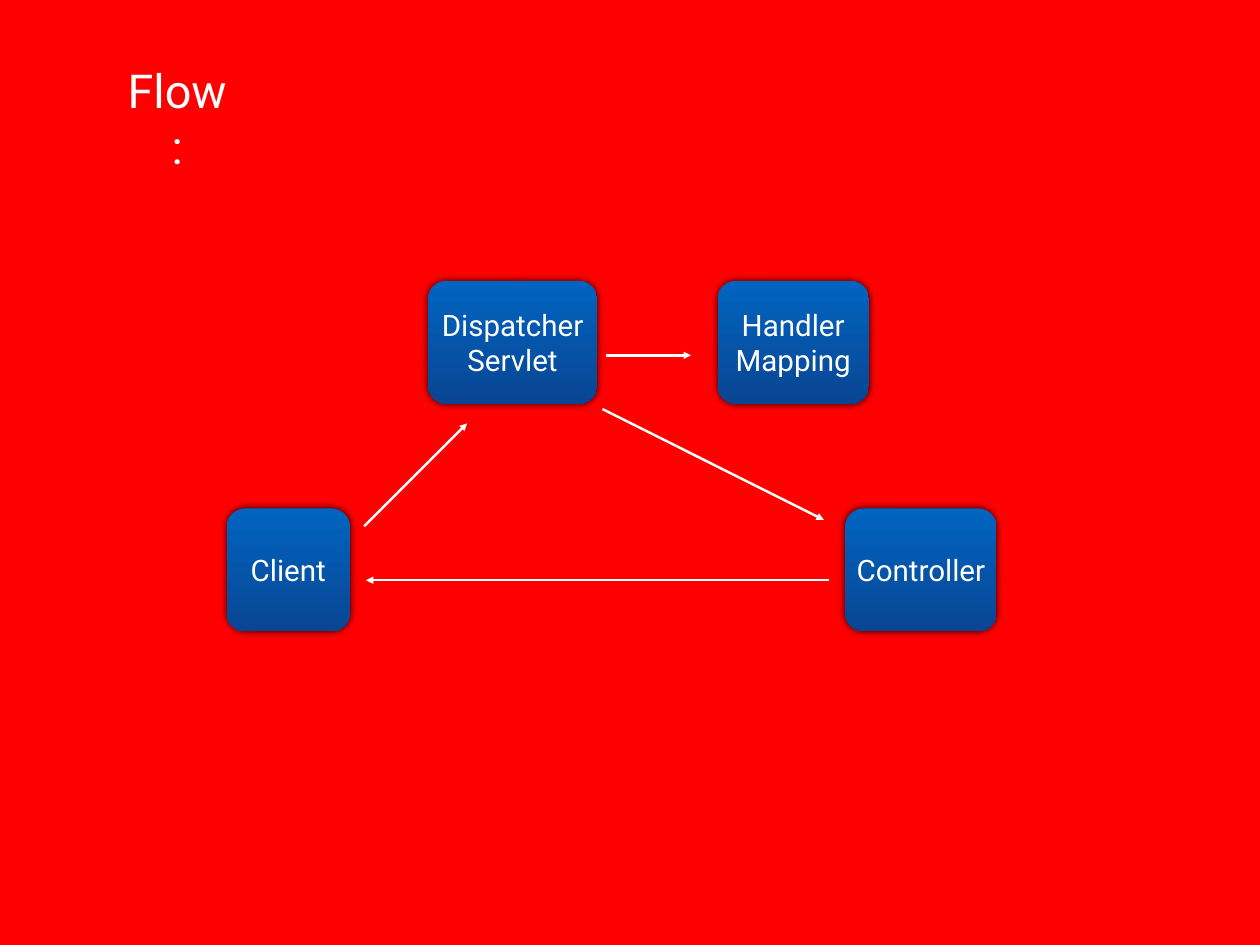
from lxml import etree
from pptx import Presentation
from pptx.dml.color import RGBColor
from pptx.enum.shapes import MSO_CONNECTOR, MSO_SHAPE
from pptx.enum.text import MSO_ANCHOR, PP_ALIGN
from pptx.oxml.ns import qn
from pptx.util import Cm, Pt

ROUND = MSO_SHAPE.ROUNDED_RECTANGLE
LINE = MSO_CONNECTOR.STRAIGHT
MIDDLE = MSO_ANCHOR.MIDDLE
CENTER = PP_ALIGN.CENTER

# Content, lengths in cm
COLORS = {"back": "FF0000", "ink": "FFFFFF", "top": "0065C1",
          "base": "094593", "shade": "000000"}
FONT = "Roboto"
SIDE = 3.53
HIGH, LOW = 8.05, 14.58
TITLE = ("Flow:", 3.43, 1.65, 3.3, 3.46)
NODES = [  # text, left, top, width
    ("Client", 6.5, LOW, SIDE),
    ("Handler Mapping", 20.57, HIGH, 4.34),
    ("Controller", 24.23, LOW, 4.34),
    ("Dispatcher\vServlet", 12.27, HIGH, 4.85),
]
ARROWS = [  # start x, start y, end x, end y
    (10.44, 15.09, 13.39, 12.14),
    (17.37, 10.19, 19.81, 10.19),
    (17.27, 11.73, 23.62, 14.91),
    (23.77, 16.64, 10.49, 16.64),
]


def rgb(name):
    return RGBColor.from_string(COLORS[name])


def write(shape, text, size):
    frame = shape.text_frame
    frame.text = text
    frame.word_wrap = True
    frame.vertical_anchor = MIDDLE
    frame.margin_left = frame.margin_right = Cm(0.15)
    frame.margin_top = frame.margin_bottom = Cm(0.15)
    para = frame.paragraphs[0]
    para.alignment = CENTER
    para.font.name = FONT
    para.font.size = Pt(size)
    para.font.color.rgb = rgb("ink")


def add_node(slide, text, left, top, width):
    node = slide.shapes.add_shape(ROUND, Cm(left), Cm(top), Cm(width), Cm(SIDE))
    node.adjustments[0] = 0.15
    node.fill.gradient()
    node.fill.gradient_angle = 270
    for stop, place, name in zip(node.fill.gradient_stops, (0, 1), ("top", "base")):
        stop.position = place
        stop.color.rgb = rgb(name)
    node.line.fill.background()
    # Soft dark glow around the node
    effects = etree.SubElement(node._element.spPr, qn("a:effectLst"))
    glow = etree.SubElement(effects, qn("a:outerShdw"), blurRad=str(Pt(6)),
                            dist="0", dir="18900000", rotWithShape="0")
    shade = etree.SubElement(glow, qn("a:srgbClr"), val=COLORS["shade"])
    etree.SubElement(shade, qn("a:alpha"), val="80000")
    write(node, text, 24)


def add_arrow(slide, *ends):
    arrow = slide.shapes.add_connector(LINE, *map(Cm, ends))
    arrow.line.color.rgb = rgb("ink")
    arrow.line.width = Pt(2)
    props = arrow._element.spPr
    etree.SubElement(props.find(qn("a:ln")), qn("a:tailEnd"), type="triangle")
    etree.SubElement(props, qn("a:effectLst"))


def main():
    deck = Presentation()
    deck.slide_width, deck.slide_height = Cm(36.12), Cm(27.1)
    slide = deck.slides.add_slide(deck.slide_layouts[6])
    slide.background.fill.solid()
    slide.background.fill.fore_color.rgb = rgb("back")

    # Flow diagram
    for node in NODES:
        add_node(slide, *node)
    for ends in ARROWS:
        add_arrow(slide, *ends)

    # Title, narrow enough for the colon to wrap
    text, *place = TITLE
    write(slide.shapes.add_textbox(*map(Cm, place)), text, 38)

    deck.save("out.pptx")


if __name__ == "__main__":
    main()
